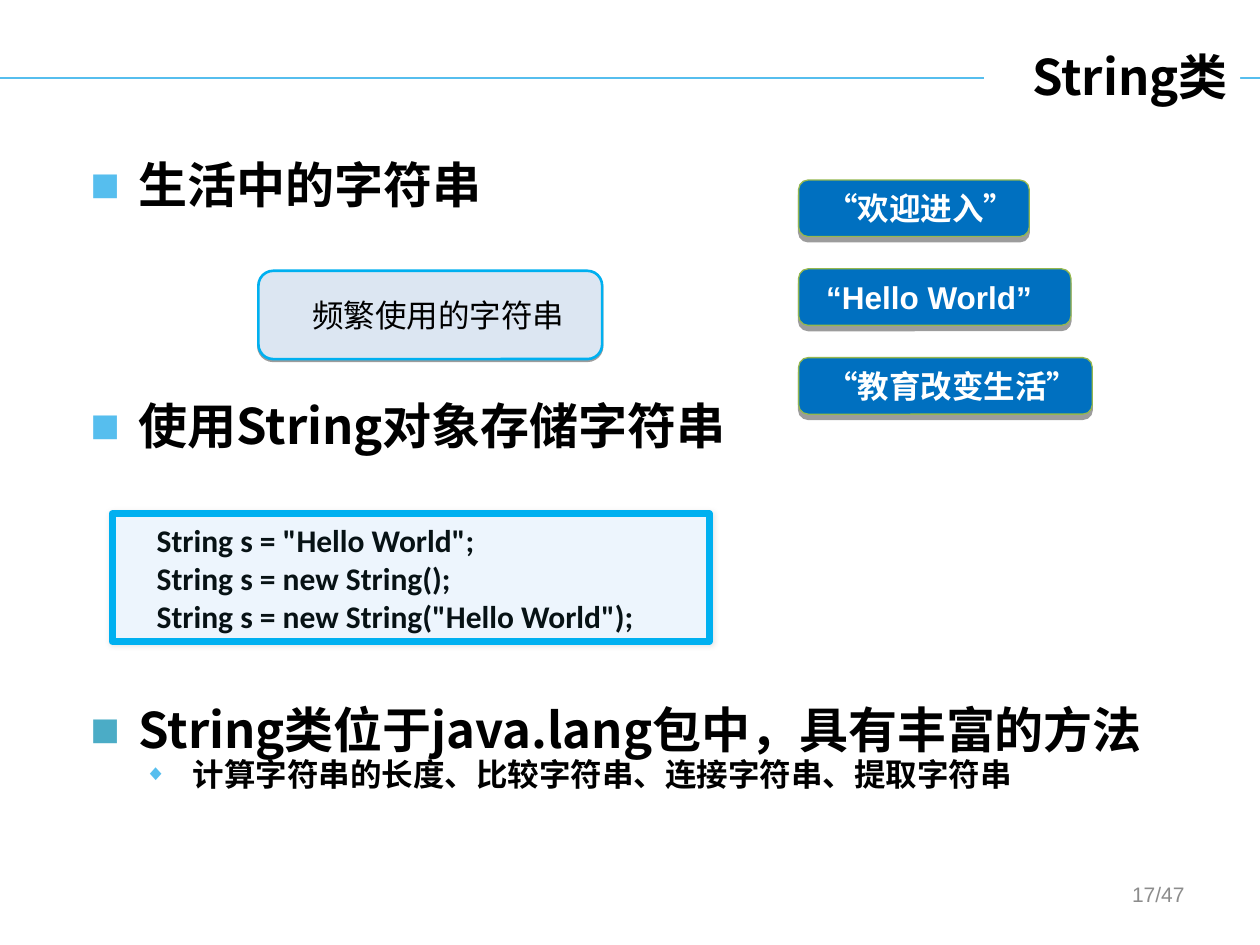
from dataclasses import dataclass
from typing import NamedTuple

from lxml.etree import SubElement
from pptx import Presentation
from pptx.dml.color import RGBColor
from pptx.enum.shapes import MSO_CONNECTOR as Connector, MSO_SHAPE as Shape
from pptx.enum.text import MSO_ANCHOR as Anchor, MSO_AUTO_SIZE as AutoSize, PP_ALIGN as Align
from pptx.oxml.ns import qn
from pptx.util import Cm, Pt


@dataclass(frozen=True)
class Theme:
    """Colours, fonts and type sizes of the deck."""
    rule: str = "56BEEE"
    teal: str = "4BACC6"
    ink: str = "000000"
    paper: str = "FFFFFF"
    cyan: str = "00B0F0"
    pale: str = "DCE6F2"
    blue: str = "0070C0"
    green: str = "95B74F"
    code_fill: str = "EDF5FD"
    code_ink: str = "071215"
    grey: str = "8C8C8C"
    cjk: str = "Noto Sans CJK SC"
    sans: str = "Arial"
    code: str = "Calibri"
    heading: int = 28
    text: int = 18
    small: int = 12


class Box(NamedTuple):
    """A rectangle in centimetres."""
    left: float
    top: float
    width: float
    height: float

    def lengths(self):
        """Return the four sides as lengths."""
        return [Cm(value) for value in self]


class Shadow(NamedTuple):
    """An outer shadow in points, degrees and percent."""
    alpha: int
    blur: float
    distance: float
    angle: int


THEME = Theme()
DROP = Shadow(39, 0, 3, 90)
LINE_PITCH = 35.85


def rgb(colour):
    """Turn a hex string into a colour."""
    return RGBColor.from_string(colour)


def style_text(para, size, colour, font=THEME.cjk, bold=True):
    """Format every run of a paragraph."""
    for span in para.runs:
        span.font.size, span.font.bold, span.font.name = Pt(size), bold, font
        span.font.color.rgb = rgb(colour)
        SubElement(span.font._element, qn("a:ea"), typeface=THEME.cjk)


def add_bullet(para, char, colour, percent, margin, hang):
    """Give a paragraph a coloured bullet and a hanging indent."""
    props = para._p.get_or_add_pPr()
    props.set("marL", str(Cm(margin)))
    props.set("indent", str(-Cm(hang)))
    paint = SubElement(props, qn("a:buClr"))
    SubElement(paint, qn("a:srgbClr"), val=colour)
    SubElement(props, qn("a:buSzPct"), val=str(percent * 1000))
    SubElement(props, qn("a:buFont"), typeface=THEME.sans)
    SubElement(props, qn("a:buChar"), char=char)


def add_shadow(shape, shadow):
    """Replace the inherited shadow with the given one."""
    shape.shadow.inherit = False
    effects = shape._element.spPr.find(qn("a:effectLst"))
    outer = SubElement(effects, qn("a:outerShdw"), blurRad=str(Pt(shadow.blur)),
                       dist=str(Pt(shadow.distance)), dir=str(shadow.angle * 60000),
                       algn="ctr", rotWithShape="0")
    paint = SubElement(outer, qn("a:srgbClr"), val=THEME.ink)
    SubElement(paint, qn("a:alpha"), val=str(shadow.alpha * 1000))


def add_panel(page, box, text, fill, line, weight, shadow, inset, corner=0.167, **style):
    """Draw a rounded panel with left-aligned text."""
    panel = page.shapes.add_shape(Shape.ROUNDED_RECTANGLE, *box.lengths())
    panel.adjustments[0] = corner
    panel.fill.solid()
    panel.fill.fore_color.rgb = rgb(fill)
    panel.line.color.rgb, panel.line.width = rgb(line), Pt(weight)
    add_shadow(panel, shadow)
    frame = panel.text_frame
    frame.text, frame.word_wrap = text, True
    frame.vertical_anchor = Anchor.MIDDLE
    frame.margin_left, frame.margin_right = Cm(inset), 0
    for para in frame.paragraphs:
        para.alignment = Align.LEFT
        style_text(para, THEME.text, **style)


def add_header(page, box, text):
    """Place the title over a rule that crosses the slide."""
    title = page.shapes.title
    title.left, title.top, title.width, title.height = box.lengths()
    title.fill.solid()
    title.fill.fore_color.rgb = rgb(THEME.paper)
    frame = title.text_frame
    frame.text, frame.auto_size = text, AutoSize.NONE
    frame.vertical_anchor = Anchor.MIDDLE
    para = frame.paragraphs[0]
    para.alignment = Align.RIGHT
    style_text(para, THEME.heading, THEME.ink)
    height = Cm(box.top + box.height / 2 + 0.05)
    rule = page.shapes.add_connector(Connector.STRAIGHT, 0, height, Cm(25.4), height)
    rule.line.color.rgb, rule.line.width = rgb(THEME.rule), Pt(1.5)
    SubElement(rule._element.spPr, qn("a:effectLst"))
    title._element.addprevious(rule._element)


def add_outline(page, box, items):
    """Fill the body with items of text, level, bullet colour and lines left free above."""
    body = page.placeholders[1]
    body.left, body.top, body.width, body.height = box.lengths()
    frame = body.text_frame
    frame.text = "\n".join(item[0] for item in items)
    frame.auto_size, frame.vertical_anchor = AutoSize.NONE, Anchor.TOP
    for para, (_, level, colour, gap) in zip(frame.paragraphs, items):
        para.level, para.line_spacing = level, 0.9
        para.space_before = Pt(gap * LINE_PITCH)
        if level:
            add_bullet(para, "◆", colour, 70, 2.06, 0.97)
        else:
            add_bullet(para, "■", colour, 100, 0.97, 0.97)
        style_text(para, THEME.text if level else THEME.heading, THEME.ink)


def add_quotes(page, box, quotes, pitch):
    """Stack quoted strings, each in a panel of its own width."""
    for row, (text, width) in enumerate(quotes):
        place = box._replace(top=box.top + row * pitch, width=width)
        add_panel(page, place, text, THEME.blue, THEME.green, 0.75, DROP, 0.5,
                  colour=THEME.paper, font=THEME.sans)


def add_page_number(page, box, text):
    """Write the page number at the right of its box."""
    frame = page.shapes.add_textbox(*box.lengths()).text_frame
    frame.text, frame.word_wrap = text, True
    para = frame.paragraphs[0]
    para.alignment = Align.RIGHT
    style_text(para, THEME.small, THEME.grey, THEME.sans, False)


def main():
    """Build and save the deck."""
    deck = Presentation()
    deck.slide_width, deck.slide_height = Cm(25.4), Cm(19.05)
    page = deck.slides.add_slide(deck.slide_layouts[1])
    add_header(page, Box(19.84, 0.74, 5.16, 1.57), "String类")
    add_outline(page, Box(1.57, 3.12, 22.43, 14.6), [
        ("生活中的字符串", 0, THEME.rule, 0),
        ("使用String对象存储字符串", 0, THEME.rule, 3),
        ("String类位于java.lang包中，具有丰富的方法", 0, THEME.teal, 4),
        ("计算字符串的长度、比较字符串、连接字符串、提取字符串", 1, THEME.rule, 0),
    ])
    add_panel(page, Box(5.21, 5.46, 6.93, 1.78), "频繁使用的字符串", THEME.pale, THEME.cyan,
              1.5, Shadow(39, 0, 1, 90), 1, colour=THEME.ink, bold=False)
    add_quotes(page, Box(16.1, 3.63, 0, 1.14), [
        ("“欢迎进入”", 4.65), ("“Hello World”", 5.49), ("“教育改变生活”", 5.92),
    ], 1.79)
    code = ('String s = "Hello World";\nString s = new String();\n'
            'String s = new String("Hello World");')
    add_panel(page, Box(2.26, 10.36, 12.04, 2.57), code, THEME.code_fill, THEME.cyan, 4,
              Shadow(10, 3, 0, 0), 0.9, 0, colour=THEME.code_ink, font=THEME.code)
    add_page_number(page, Box(18.21, 17.65, 5.92, 1.02), "17/47")
    deck.save("out.pptx")


if __name__ == "__main__":
    main()
